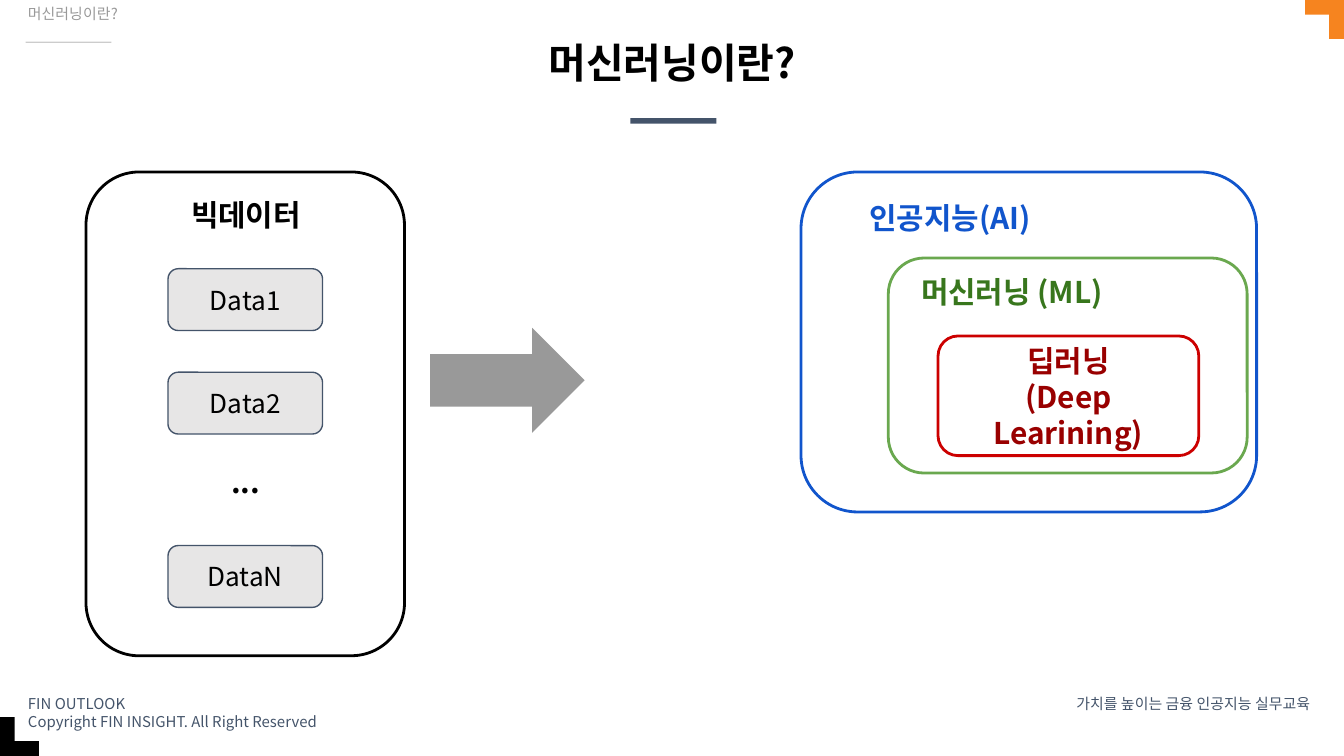
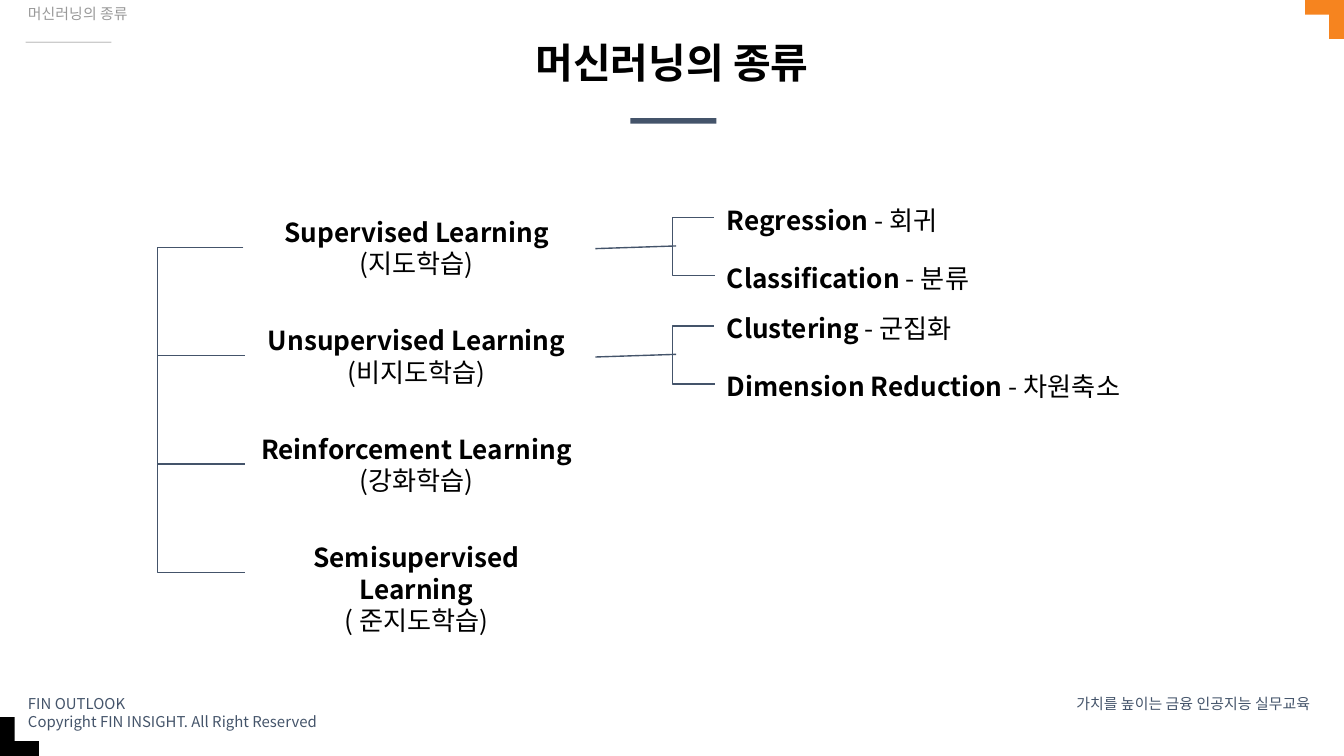
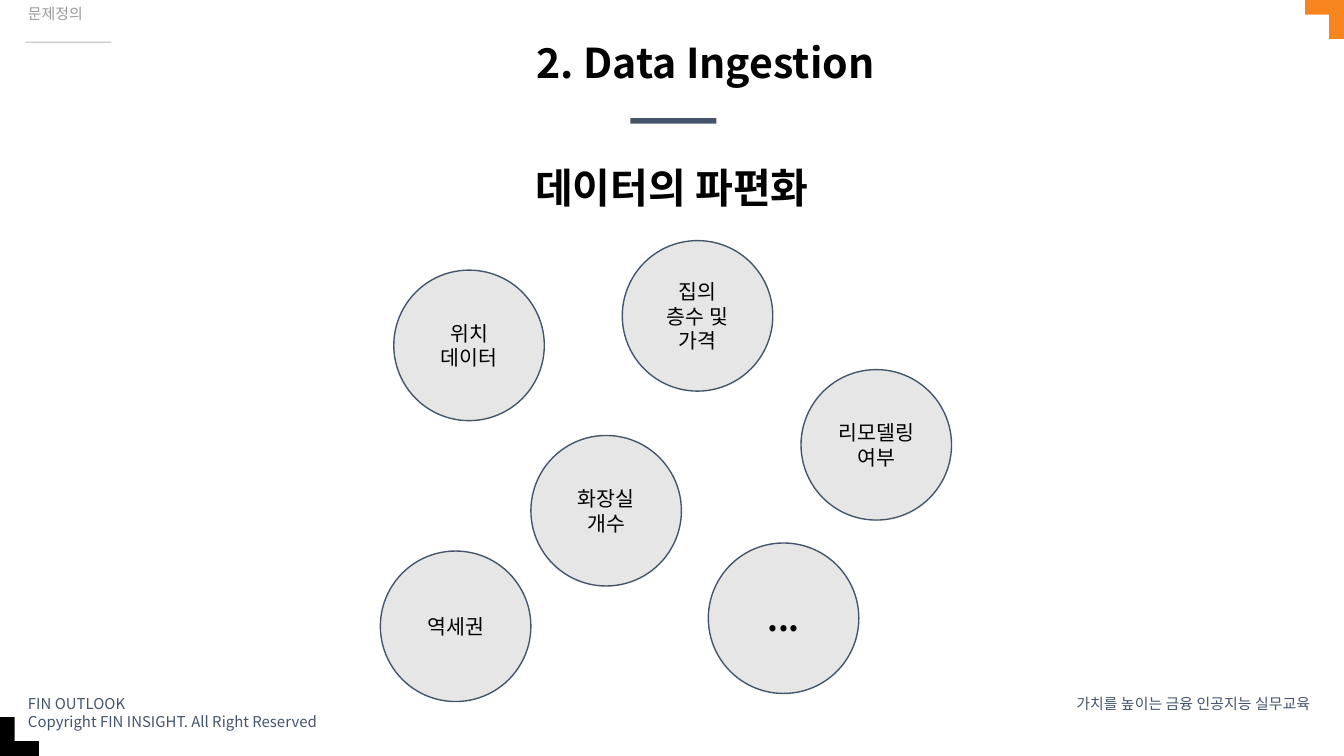
import pptx
import pptx.dml.color
import pptx.enum.shapes
import pptx.enum.text
import pptx.oxml.ns
import pptx.util
from lxml import etree
from pptx.util import Inches

# Shared style
WIDTH = 10
HEIGHT = WIDTH * 9 / 16
FONT = "Noto Sans CJK KR"
BLACK, WHITE, SLATE = "000000", "FFFFFF", "44546A"
ORANGE, PALE, GRAY = "F6841F", "E7E6E6", "999999"
SHAPES = pptx.enum.shapes.MSO_SHAPE
CONNECTORS = pptx.enum.shapes.MSO_CONNECTOR
ALIGN = pptx.enum.text.PP_ALIGN
ANCHOR = pptx.enum.text.MSO_ANCHOR
TIGHT = 0.9  # line spacing of headings


def color(hex_string):
    return pptx.dml.color.RGBColor.from_string(hex_string)


def add_run(paragraph, text, size, font_color, bold):
    run = paragraph.add_run()
    run.text = text
    run.font.size = pptx.util.Pt(size)
    run.font.bold = bold
    run.font.color.rgb = color(font_color)
    run.font.name = FONT
    east_asian = etree.SubElement(run.font._element, pptx.oxml.ns.qn("a:ea"))
    east_asian.set("typeface", FONT)


def write(shape, paragraphs, size, font_color=BLACK, align=ALIGN.CENTER,
          anchor=ANCHOR.TOP, insets=(0.1, 0.1), spacing=None, indent=0):
    """Each paragraph is a list of (text, bold) runs."""
    frame = shape.text_frame
    frame.word_wrap = True
    frame.vertical_anchor = anchor
    frame.margin_left = frame.margin_right = Inches(insets[0])
    frame.margin_top = frame.margin_bottom = Inches(insets[1])
    for index, runs in enumerate(paragraphs):
        paragraph = frame.add_paragraph() if index else frame.paragraphs[0]
        paragraph.alignment = align
        if spacing:
            paragraph.line_spacing = spacing
        if indent:
            paragraph._p.get_or_add_pPr().set("marL", str(Inches(indent)))
        for text, bold in runs:
            add_run(paragraph, text, size, font_color, bold)


def add_text(slide, box, paragraphs, size, **style):
    shape = slide.shapes.add_textbox(*map(Inches, box))
    write(shape, paragraphs, size, **style)


def add_box(slide, kind, box, fill, line=None, width=0.75):
    shape = slide.shapes.add_shape(kind, *map(Inches, box))
    shape.shadow.inherit = False
    shape.fill.solid()
    shape.fill.fore_color.rgb = color(fill)
    if line:
        shape.line.color.rgb = color(line)
        shape.line.width = pptx.util.Pt(width)
    else:
        shape.line.fill.background()
    return shape


def add_node(slide, kind, box, text, size, bold=False):
    shape = add_box(slide, kind, box, PALE, SLATE)
    write(shape, [[(text, bold)]], size, anchor=ANCHOR.MIDDLE)


def add_line(slide, kind, start, end):
    connector = slide.shapes.add_connector(kind, *map(Inches, start + end))
    connector.line.color.rgb = color(SLATE)
    connector.line.width = pptx.util.Pt(0.75)
    etree.SubElement(connector._element.spPr, pptx.oxml.ns.qn("a:effectLst"))
    return connector


def add_bracket(slide, x, top, bottom, reach):
    """Elbow line that bulges to the left of x by reach."""
    step = 0.01
    connector = add_line(slide, CONNECTORS.ELBOW, (x, top), (x + step, bottom))
    geometry = connector._element.spPr.find(pptx.oxml.ns.qn("a:prstGeom"))
    values = geometry.find(pptx.oxml.ns.qn("a:avLst"))
    if values is None:
        values = etree.SubElement(geometry, pptx.oxml.ns.qn("a:avLst"))
    guide = etree.SubElement(values, pptx.oxml.ns.qn("a:gd"))
    guide.set("name", "adj1")
    guide.set("fmla", f"val {round(-reach / step * 100000)}")


def add_base(presentation, title, section, title_indent=0):
    slide = presentation.slides.add_slide(presentation.slide_layouts[6])
    # Title rule, section rule and corner marks
    long, thick = 0.29, 0.11
    for box, fill in (
        ((4.69, 0.88, 0.64, 0.04), SLATE),
        ((0.19, 0.31, 0.64, 0.01), "CCCCCC"),
        ((0, HEIGHT - thick, long, thick), BLACK),
        ((0, HEIGHT - long, thick, long), BLACK),
        ((WIDTH - long, 0, long, thick), ORANGE),
        ((WIDTH - thick, 0, thick, long), ORANGE),
    ):
        add_box(slide, SHAPES.RECTANGLE, box, fill)
    # Footers
    footer = dict(size=8, font_color=SLATE, insets=(0.1, 0.05))
    add_text(slide, (0.11, 5.12, 2.98, 0.27),
             [[("FIN OUTLOOK", False)],
              [("Copyright FIN INSIGHT. All Right Reserved", False)]],
             align=ALIGN.LEFT, **footer)
    add_text(slide, (7.76, 5.12, 2.09, 0.17),
             [[("가치를 높이는 금융 인공지능 실무교육", False)]],
             align=ALIGN.RIGHT, **footer)
    # Title and section name
    add_text(slide, (1.09, 0.3, 7.82, 0.4), [[(title, True)]], 22,
             insets=(0.04, 0.02), spacing=TIGHT, indent=title_indent)
    add_text(slide, (0.11, 0, 2.84, 0.4), [[(section, False)]], 8,
             font_color=GRAY, align=ALIGN.LEFT, insets=(0.1, 0.05), spacing=TIGHT)
    return slide


def build_definition(presentation):
    slide = add_base(presentation, "머신러닝이란?", "머신러닝이란?")
    # Nested frames
    for box, line in (
        ((0.64, 1.28, 2.37, 3.6), BLACK),
        ((5.96, 1.28, 3.39, 2.53), "1155CC"),
        ((6.61, 1.92, 2.67, 1.6), "6AA84F"),
        ((6.98, 2.5, 1.94, 0.89), "CC0000"),
    ):
        add_box(slide, SHAPES.ROUNDED_RECTANGLE, box, WHITE, line, 1.5)
    # Frame labels
    for box, lines, font_color in (
        ((1.01, 1.43, 1.64, 0.34), ["빅데이터"], BLACK),
        ((6.25, 1.45, 1.64, 0.34), ["인공지능(AI)"], "1155CC"),
        ((6.71, 2, 1.64, 0.34), ["머신러닝 (ML)"], "38761D"),
        ((6.98, 2.64, 1.94, 0.62), ["딥러닝", "(Deep Learining)"], "990000"),
    ):
        add_text(slide, box, [[(line, True)] for line in lines], 16,
                 font_color=font_color, anchor=ANCHOR.MIDDLE)
    # Data items and arrow
    for top, name in ((2, "Data1"), (2.77, "Data2"), (4.06, "DataN")):
        add_node(slide, SHAPES.ROUNDED_RECTANGLE, (1.25, top, 1.15, 0.46), name, 14)
    add_text(slide, (1.01, 3.48, 1.64, 0.34), [[("...", True)]], 16,
             anchor=ANCHOR.BOTTOM)
    add_box(slide, SHAPES.RIGHT_ARROW, (3.2, 2.44, 1.15, 0.78), GRAY)


def build_kinds(presentation):
    slide = add_base(presentation, "머신러닝의 종류", "머신러닝의 종류")
    kinds = (
        ("Supervised Learning", "(지도학습)",
         (("Regression", "회귀"), ("Classification", "분류"))),
        ("Unsupervised Learning", "(비지도학습)",
         (("Clustering", "군집화"), ("Dimension Reduction", "차원축소"))),
        ("Reinforcement Learning", "(강화학습)", ()),
        ("Semisupervised Learning", "( 준지도학습)", ()),
    )
    row_gap = 2.42 / 3
    for index, (name, korean, methods) in enumerate(kinds):
        offset = row_gap * index
        add_text(slide, (1.81, 1.51 + offset, 2.58, 0.67),
                 [[(name, True)], [(korean, False)]], 14)
        if index:
            add_bracket(slide, 1.81, 1.84, 1.84 + offset, 0.65)
        if methods:
            add_bracket(slide, 5.31, 1.62 + offset, 2.05 + offset, 0.31)
            add_line(slide, CONNECTORS.STRAIGHT,
                     (4.43, 1.85 + offset), (5.03, 1.83 + offset))
        for row, (method, meaning) in enumerate(methods):
            width = 3.75 if method == "Dimension Reduction" else 2.58
            add_text(slide, (5.31, 1.42 + offset + 0.43 * row, width, 0.4),
                     [[(method, True), (f" - {meaning}", False)]], 14,
                     align=ALIGN.LEFT)


def build_ingestion(presentation):
    slide = add_base(presentation, "2. Data Ingestion", "문제정의", 0.5)
    for left, top, text in (
        (3.95, 3.24, "화장실 개수"),
        (2.93, 2.01, "위치 데이터"),
        (4.63, 1.79, "집의 층수 및 가격"),
        (5.96, 2.75, "리모델링 여부"),
        (2.83, 4.1, "역세권"),
    ):
        add_node(slide, SHAPES.OVAL, (left, top, 1.12, 1.12), text, 11)
    add_node(slide, SHAPES.OVAL, (5.27, 4.04, 1.12, 1.12), "...", 18, True)
    add_text(slide, (3.36, 1.15, 3.28, 0.63), [[("데이터의 파편화", True)]], 22,
             spacing=TIGHT)


def main():
    presentation = pptx.Presentation()
    presentation.slide_width = Inches(WIDTH)
    presentation.slide_height = Inches(HEIGHT)
    build_definition(presentation)
    build_kinds(presentation)
    build_ingestion(presentation)
    presentation.save("out.pptx")


if __name__ == "__main__":
    main()
